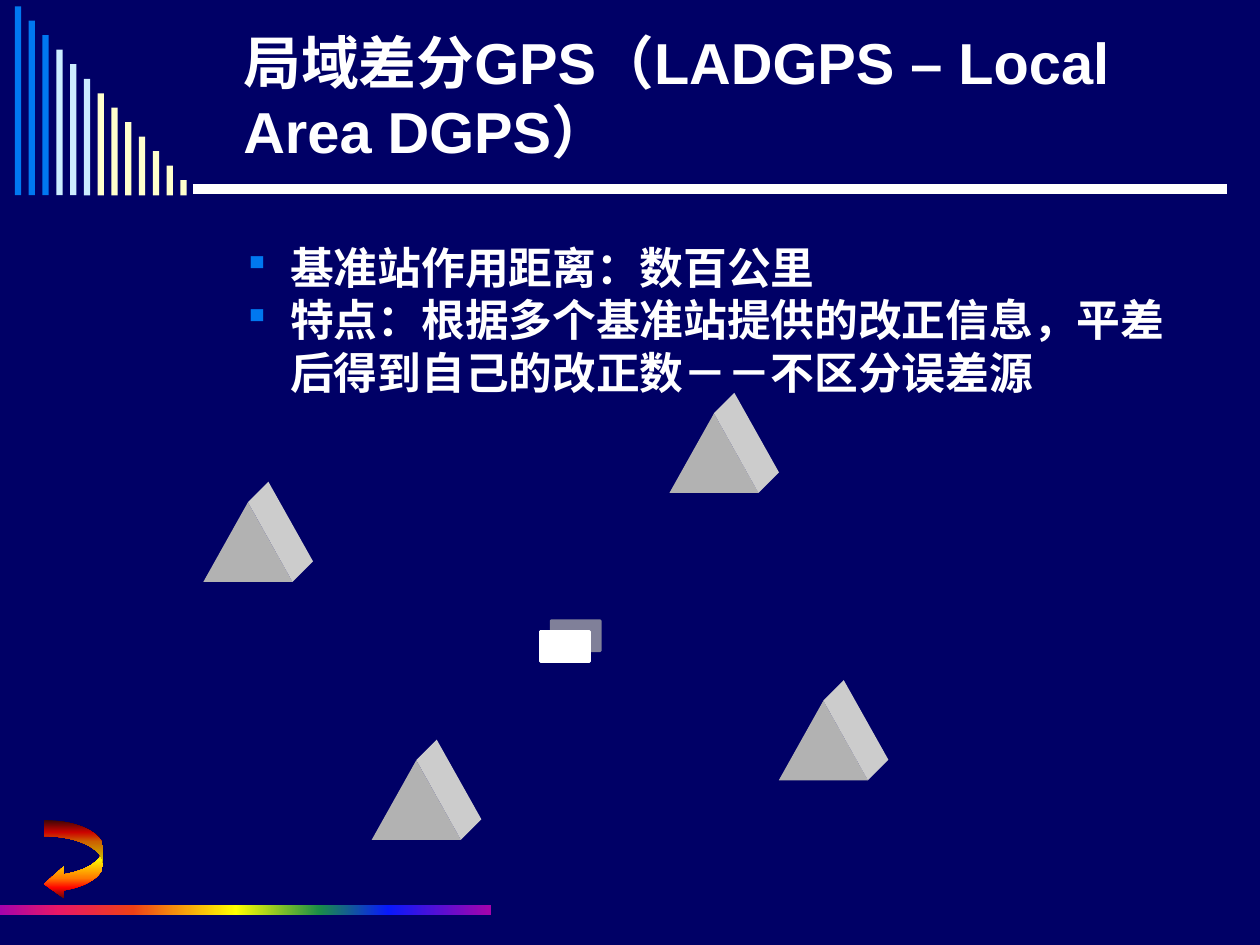
from lxml.etree import SubElement
from pptx import Presentation
from pptx.dml.color import RGBColor
from pptx.enum.shapes import MSO_CONNECTOR as Link, MSO_SHAPE as Kind
from pptx.enum.text import MSO_ANCHOR as Anchor, MSO_AUTO_SIZE as Fit, PP_ALIGN as Align
from pptx.oxml.ns import qn
from pptx.util import Pt

NAVY = RGBColor(0x00, 0x00, 0x66)
WHITE = RGBColor(0xFF, 0xFF, 0xFF)
BLUE = RGBColor(0x00, 0x78, 0xF0)
SKY = RGBColor(0xCC, 0xEC, 0xFF)
CREAM = RGBColor(0xFF, 0xFF, 0xCC)
GREY = RGBColor(0xB2, 0xB2, 0xB2)
SILVER = RGBColor(0xCC, 0xCC, 0xCC)
PLUM = RGBColor(0xA6, 0x03, 0xAB)
PINK = RGBColor(0xE8, 0x17, 0x66)
RUST = RGBColor(0xEE, 0x3F, 0x17)
YELLOW = RGBColor(0xFF, 0xFF, 0x00)
GREEN = RGBColor(0x1A, 0x8D, 0x48)
ROYAL = RGBColor(0x08, 0x19, 0xFB)
MAROON = RGBColor(0x4D, 0x08, 0x08)
RED = RGBColor(0xFF, 0x03, 0x00)
ORANGE = RGBColor(0xFF, 0x7A, 0x00)
GOLD = RGBColor(0xFF, 0xF2, 0x00)

RAINBOW = [(0, PLUM), (12, PINK), (27, RUST), (48, YELLOW), (65, GREEN), (79, ROYAL), (100, PLUM)]
FIRE = [(0, MAROON), (15, RED), (27, ORANGE), (50, GOLD), (73, ORANGE), (85, RED), (100, MAROON)]
TITLE = "局域差分GPS（LADGPS – Local Area DGPS）"
POINTS = ["基准站作用距离：数百公里", "特点：根据多个基准站提供的改正信息，平差后得到自己的改正数－－不区分误差源"]
BARS = [BLUE] * 3 + [SKY] * 3 + [CREAM] * 7
SITES = [(212.4, 434.4), (116.2, 287), (382.5, 236.2), (445, 400.4)]


def add(node, tag, **attrs):
    return SubElement(node, qn(tag), attrs)


class Painter:
    """Draws styled elements on the current slide, in points."""

    font = "Arial"

    def __init__(self, slide):
        self.slide = slide
        self.shapes = slide.shapes
        slide.background.fill.solid()
        slide.background.fill.fore_color.rgb = NAVY

    def label(self, frame, lines, size):
        frame.word_wrap = True
        frame.auto_size = Fit.NONE
        frame.text = "\n".join(lines)
        for para in frame.paragraphs:
            para.alignment = Align.LEFT
            for run in para.runs:
                font = run.font
                font.name, font.size, font.bold = self.font, Pt(size), True
                font.color.rgb = WHITE

    def title(self, text, x, y, w, h):
        box = self.shapes.title
        box.left, box.top, box.width, box.height = Pt(x), Pt(y), Pt(w), Pt(h)
        self.label(box.text_frame, [text], 33)
        box.text_frame.vertical_anchor = Anchor.MIDDLE

    def bullets(self, lines, x, y, w, h):
        frame = self.shapes.add_textbox(Pt(x), Pt(y), Pt(w), Pt(h)).text_frame
        self.label(frame, lines, 25)
        for para in frame.paragraphs:
            props = para._p.get_or_add_pPr()
            props.set("marL", str(Pt(27)))
            props.set("indent", str(-Pt(27)))
            add(add(props, "a:buClr"), "a:srgbClr", val=str(BLUE))
            add(props, "a:buSzPct", val="85000")
            add(props, "a:buChar", char="▪")

    def paint(self, shape, color):
        shape.shadow.inherit = False
        shape.line.fill.background()
        shape.fill.solid()
        shape.fill.fore_color.rgb = color
        return shape

    def shape(self, kind, x, y, w, h, color):
        return self.paint(self.shapes.add_shape(kind, Pt(x), Pt(y), Pt(w), Pt(h)), color)

    def blend(self, shape, stops, angle):
        shape.fill.gradient()
        shape.fill.gradient_angle = angle
        group = shape._element.spPr.find(qn("a:gradFill")).find(qn("a:gsLst"))
        for old in list(group):
            group.remove(old)
        for place, color in stops:
            stop = add(group, "a:gs", pos=str(place * 1000))
            add(stop, "a:srgbClr", val=str(color))

    def rule(self, x, y, end, color, width):
        line = self.shapes.add_connector(Link.STRAIGHT, Pt(x), Pt(y), Pt(end), Pt(y))
        line.line.color.rgb, line.line.width = color, Pt(width)
        add(line._element.spPr, "a:effectLst")

    def prism(self, x, y, w=51, h=45.5, deep=11.7):
        self.shape(Kind.ISOSCELES_TRIANGLE, x, y, w, h, GREY)
        peak, right, base = x + w / 2, x + w, y + h
        form = self.shapes.build_freeform(Pt(peak), Pt(y))
        side = [(peak + deep, y - deep), (right + deep, base - deep), (right, base)]
        form.add_line_segments([(Pt(a), Pt(b)) for a, b in side], close=True)
        self.paint(form.convert_to_shape(), SILVER)

    def rover(self, x, y, w, h):
        box = self.shape(Kind.RECTANGLE, x, y, w, h, WHITE)
        box.line.color.rgb, box.line.width = WHITE, Pt(1.5)
        effects = box._element.spPr.find(qn("a:effectLst"))
        shade = add(effects, "a:outerShdw", dist=str(Pt(8.5)), dir="18900000",
                    algn="ctr", rotWithShape="0")
        add(add(shade, "a:srgbClr", val=str(CREAM)), "a:alpha", val="50000")


def main():
    deck = Presentation()
    deck.slide_width, deck.slide_height = Pt(720), Pt(540)
    art = Painter(deck.slides.add_slide(deck.slide_layouts[5]))
    art.rule(110.2, 108, 701.3, WHITE, 6)
    for i, color in enumerate(BARS):
        tall = 108 - 8.28 * i
        art.shape(Kind.RECTANGLE, 8.5 + 7.88 * i, 111.6 - tall, 3.6, tall, color)
    band = art.shape(Kind.RECTANGLE, 0, 517, 280.8, 5.8, PLUM)
    art.blend(band, RAINBOW, 0)
    art.title(TITLE, 131.8, 9.4, 552.2, 90.7)
    art.bullets(POINTS, 131.8, 133.9, 552.2, 346.3)
    for x, y in SITES:
        art.prism(x, y)
    art.rover(308.9, 360.7, 28.1, 17.3)
    arrow = art.shape(Kind.CURVED_LEFT_ARROW, 25.2, 468.7, 33.8, 45.4, GOLD)
    for i, value in enumerate((0.27, 0.53, 0.33)):
        arrow.adjustments[i] = value
    art.blend(arrow, FIRE, 270)
    deck.save("out.pptx")


if __name__ == "__main__":
    main()
